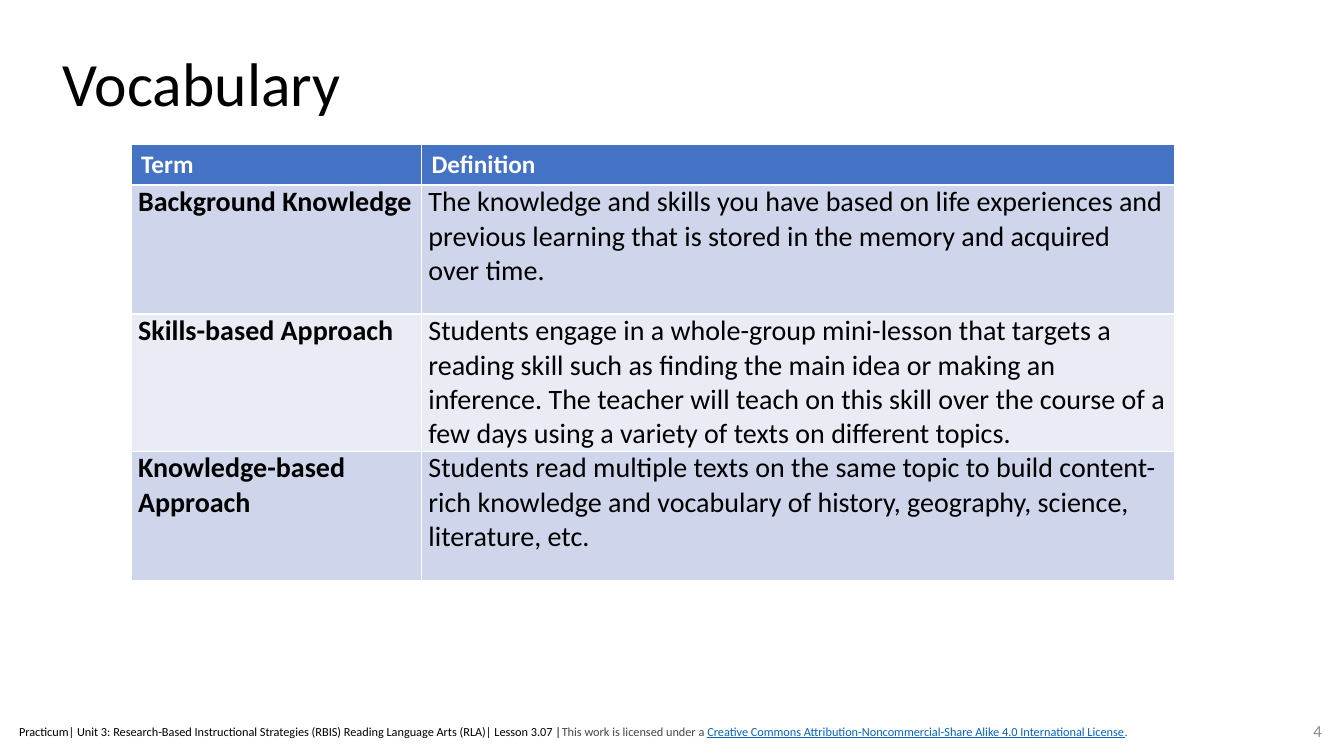
from pptx import Presentation
from pptx.dml.color import RGBColor
from pptx.enum.text import MSO_ANCHOR as Anchor, PP_ALIGN as Align
from pptx.util import Inches, Pt

FONT = "Calibri"
BLACK = RGBColor(0x00, 0x00, 0x00)
WHITE = RGBColor(0xFF, 0xFF, 0xFF)
HEADER_BLUE = RGBColor(0x44, 0x72, 0xC4)
BAND_DARK = RGBColor(0xCF, 0xD5, 0xEA)
BAND_LIGHT = RGBColor(0xE9, 0xEB, 0xF5)
NUMBER_GRAY = RGBColor(0x8C, 0x8C, 0x8C)
LICENSE_GRAY = RGBColor(0x46, 0x46, 0x46)
LINK_BLUE = RGBColor(0x05, 0x63, 0xC1)
STOP_BLUE = RGBColor(0x00, 0x70, 0xC0)


def add_run(paragraph, text, size, color, bold=False, underline=False):
    run = paragraph.add_run()
    run.text = text
    run.font.name = FONT
    run.font.size = Pt(size)
    run.font.color.rgb = color
    run.font.bold = bold
    run.font.underline = underline


def add_text_box(left, top, width, height):
    frame = slide.shapes.add_textbox(
        Inches(left), Inches(top), Inches(width), Inches(height)).text_frame
    frame.word_wrap = True
    frame.vertical_anchor = Anchor.MIDDLE
    return frame.paragraphs[0]


presentation = Presentation()
presentation.slide_width = Inches(13.33)
presentation.slide_height = Inches(7.5)
slide = presentation.slides.add_slide(presentation.slide_layouts[5])

# Title
title = slide.shapes.title
title.left, title.top = Inches(0.52), Inches(0.13)
title.width, title.height = Inches(11.5), Inches(1.45)
title.text_frame.vertical_anchor = Anchor.MIDDLE
paragraph = title.text_frame.paragraphs[0]
paragraph.alignment = Align.LEFT
paragraph.line_spacing = 0.9
add_run(paragraph, "Vocabulary", 44, BLACK)

# Vocabulary table
vocabulary = [
    ("Term", "Definition"),
    ("Background Knowledge",
     "The knowledge and skills you have based on life experiences and previous "
     "learning that is stored in the memory and acquired over time."),
    ("Skills-based Approach",
     "Students engage in a whole-group mini-lesson that targets a reading skill "
     "such as finding the main idea or making an inference. The teacher will teach "
     "on this skill over the course of a few days using a variety of texts on "
     "different topics."),
    ("Knowledge-based Approach",
     "Students read multiple texts on the same topic to build content-rich knowledge "
     "and vocabulary of history, geography, science, literature, etc."),
]
table = slide.shapes.add_table(
    len(vocabulary), 2, Inches(1.3), Inches(1.43), Inches(10.35), Inches(4.23)).table
table.columns[0].width = Inches(2.88)
table.columns[1].width = Inches(7.47)

for row, entry in enumerate(vocabulary):
    is_header = row == 0
    table.rows[row].height = Inches(0.39 if is_header else 1.28)
    for column, text in enumerate(entry):
        cell = table.cell(row, column)
        cell.fill.solid()
        paragraph = cell.text_frame.paragraphs[0]
        if is_header:
            cell.fill.fore_color.rgb = HEADER_BLUE
            add_run(paragraph, text, 18, WHITE, bold=True)
        else:
            cell.fill.fore_color.rgb = BAND_DARK if row % 2 else BAND_LIGHT
            cell.margin_left = cell.margin_right = Inches(0.07)
            cell.margin_top = cell.margin_bottom = 0
            paragraph.space_after = Pt(6)
            add_run(paragraph, text, 20, BLACK, bold=column == 0)

# Slide number
paragraph = add_text_box(10.21, 7.05, 3, 0.4)
paragraph.alignment = Align.RIGHT
add_run(paragraph, "4", 12, NUMBER_GRAY)

# Footer with license
paragraph = add_text_box(0.09, 7.09, 12.42, 0.33)
add_run(paragraph, "Practicum| Unit 3: Research-Based Instructional Strategies (RBIS) "
        "Reading Language Arts (RLA)| Lesson 3.07 |", 8.8, BLACK)
add_run(paragraph, "This work is licensed under a ", 8.8, LICENSE_GRAY)
add_run(paragraph, "Creative Commons Attribution-Noncommercial-Share Alike 4.0 "
        "International License", 8.8, LINK_BLUE, underline=True)
add_run(paragraph, ".", 8.8, STOP_BLUE)

presentation.save("out.pptx")
